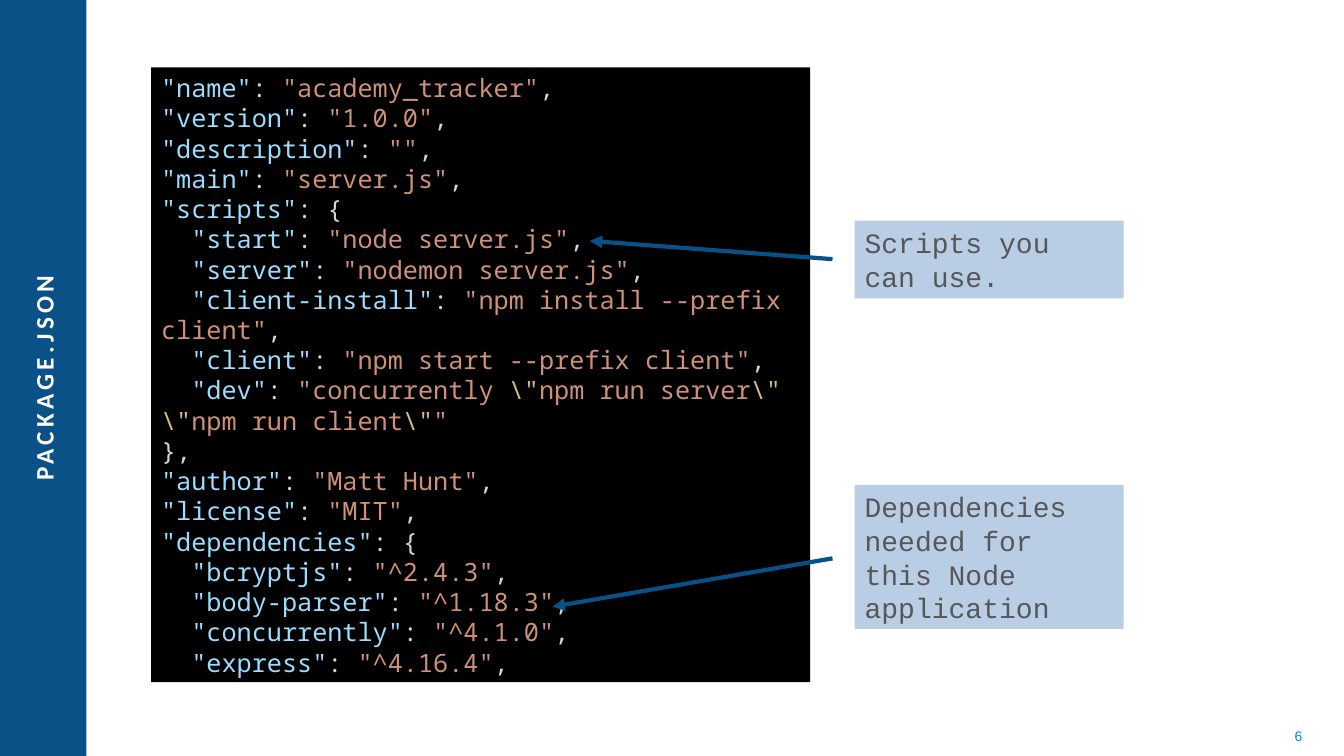
from pptx import Presentation
from pptx.dml.color import RGBColor
from pptx.enum.shapes import MSO_CONNECTOR, MSO_SHAPE
from pptx.enum.text import MSO_ANCHOR, PP_ALIGN
from pptx.oxml.ns import qn
from pptx.util import Cm, Pt
from lxml import etree

RECTANGLE = MSO_SHAPE.RECTANGLE
STRAIGHT = MSO_CONNECTOR.STRAIGHT
TOP, MIDDLE = MSO_ANCHOR.TOP, MSO_ANCHOR.MIDDLE
LEFT, CENTER, RIGHT = PP_ALIGN.LEFT, PP_ALIGN.CENTER, PP_ALIGN.RIGHT

COLORS = {
    "band": "0A5188", "title": "FFFFFF", "number": "008FD0",
    "editor": "000000", "key": "9CDCFE", "mark": "D4D4D4",
    "string": "CE9178", "escape": "D7BA7D",
    "callout": "B9CDE5", "note": "565759", "arrow": "075088",
}


def entry(key, value, end=","):
    """Return the coloured runs of one key and its string value."""
    return [(key, "key"), (": ", "mark"), (value, "string"), (end, "mark")]


def opening(key):
    """Return the coloured runs that start a nested object."""
    return [(key, "key"), (": {", "mark")]


PACKAGE_LINES = [
    entry('"name"', '"academy_tracker"'),
    entry('"version"', '"1.0.0"'),
    entry('"description"', '""'),
    entry('"main"', '"server.js"'),
    opening('"scripts"'),
    entry('  "start"', '"node server.js"'),
    entry('  "server"', '"nodemon server.js"'),
    entry('  "client-install"', '"npm install --prefix client"'),
    entry('  "client"', '"npm start --prefix client"'),
    [('  "dev"', "key"), (": ", "mark"), ('"concurrently ', "string"),
     ('\\"', "escape"), ("npm run server", "string"), ('\\" \\"', "escape"),
     ("npm run client", "string"), ('\\"', "escape"), ('"', "string")],
    [("},", "mark")],
    entry('"author"', '"Matt Hunt"'),
    entry('"license"', '"MIT"'),
    opening('"dependencies"'),
    entry('  "bcryptjs"', '"^2.4.3"'),
    entry('  "body-parser"', '"^1.18.3"'),
    entry('  "concurrently"', '"^4.1.0"'),
    entry('  "express"', '"^4.16.4"'),
]

CALLOUTS = [
    ("Scripts you can use.", 5.56, 1.96, (20.98, 6.53), (14.86, 6.07)),
    ("Dependencies needed for this Node application", 12.22, 3.63,
     (20.98, 14.07), (13.92, 15.29)),
]


class SlideBuilder:
    """Holds the palette and the slide that is being built."""

    def __init__(self, slide, colors):
        """Keep the slide and its palette."""
        self.slide = slide
        self.colors = colors

    def color(self, name):
        """Return a palette colour."""
        return RGBColor.from_string(self.colors[name])

    def add_text(self, shape, lines, font, size, align=LEFT, anchor=TOP,
                 bold=False, pitch=None, tracking=None):
        """Fill a shape with lines of coloured runs."""
        frame = shape.text_frame
        frame.word_wrap = True
        frame.vertical_anchor = anchor
        for index, line in enumerate(lines):
            paragraph = frame.add_paragraph() if index else frame.paragraphs[0]
            paragraph.alignment = align
            if pitch:
                paragraph.line_spacing = Pt(pitch)
            for text, color in line:
                run = paragraph.add_run()
                run.text = text
                run.font.name = font
                run.font.size = Pt(size)
                run.font.bold = bold
                run.font.color.rgb = self.color(color)
                if tracking:
                    run._r.get_or_add_rPr().set("spc", str(tracking * 100))

    def panel(self, left, top, width, height, fill):
        """Add a plain filled rectangle."""
        panel = self.slide.shapes.add_shape(
            RECTANGLE, Cm(left), Cm(top), Cm(width), Cm(height))
        panel.shadow.inherit = False
        panel.fill.solid()
        panel.fill.fore_color.rgb = self.color(fill)
        panel.line.fill.background()
        return panel

    def title(self, text):
        """Turn the title placeholder upwards along the side band."""
        title = self.slide.shapes.title
        title.left, title.top = Cm(-8.66), Cm(9.12)
        title.width, title.height = Cm(19.51), Cm(0.81)
        title.rotation = 270
        self.add_text(title, [[(text, "title")]], "Calibri", 18, CENTER,
                      MIDDLE, bold=True, tracking=3)

    def number(self, text):
        """Add the slide number at the bottom right."""
        number = self.slide.shapes.add_textbox(
            Cm(25.17), Cm(18.03), Cm(7.9), Cm(1.02))
        self.add_text(number, [[(text, "number")]], "Arial", 10, RIGHT, MIDDLE)

    def arrow(self, start, end):
        """Add a straight arrow between two points."""
        arrow = self.slide.shapes.add_connector(
            STRAIGHT, *(Cm(value) for value in start + end))
        arrow.line.color.rgb = self.color("arrow")
        arrow.line.width = Pt(3)
        head = etree.SubElement(arrow.line._get_or_add_ln(), qn("a:tailEnd"))
        head.set("type", "triangle")
        etree.SubElement(arrow._element.spPr, qn("a:effectLst"))


def main():
    """Build the package.json slide and save it."""
    deck = Presentation()
    deck.slide_width, deck.slide_height = Cm(33.87), Cm(19.05)
    builder = SlideBuilder(deck.slides.add_slide(deck.slide_layouts[5]), COLORS)

    band = builder.panel(0, 0, 2.18, 19.05, "band")
    title = builder.slide.shapes.title
    title._element.addprevious(band._element)
    builder.title("PACKAGE.JSON")
    builder.number("6")

    editor = builder.panel(3.81, 1.7, 16.61, 15.49, "editor")
    builder.add_text(editor, PACKAGE_LINES, "Noto Sans Mono", 18, pitch=21.6)

    for note, top, height, start, end in CALLOUTS:
        callout = builder.panel(21.54, top, 6.78, height, "callout")
        builder.add_text(callout, [[(note, "note")]], "Courier New", 20)
        builder.arrow(start, end)

    deck.save("out.pptx")


if __name__ == "__main__":
    main()
